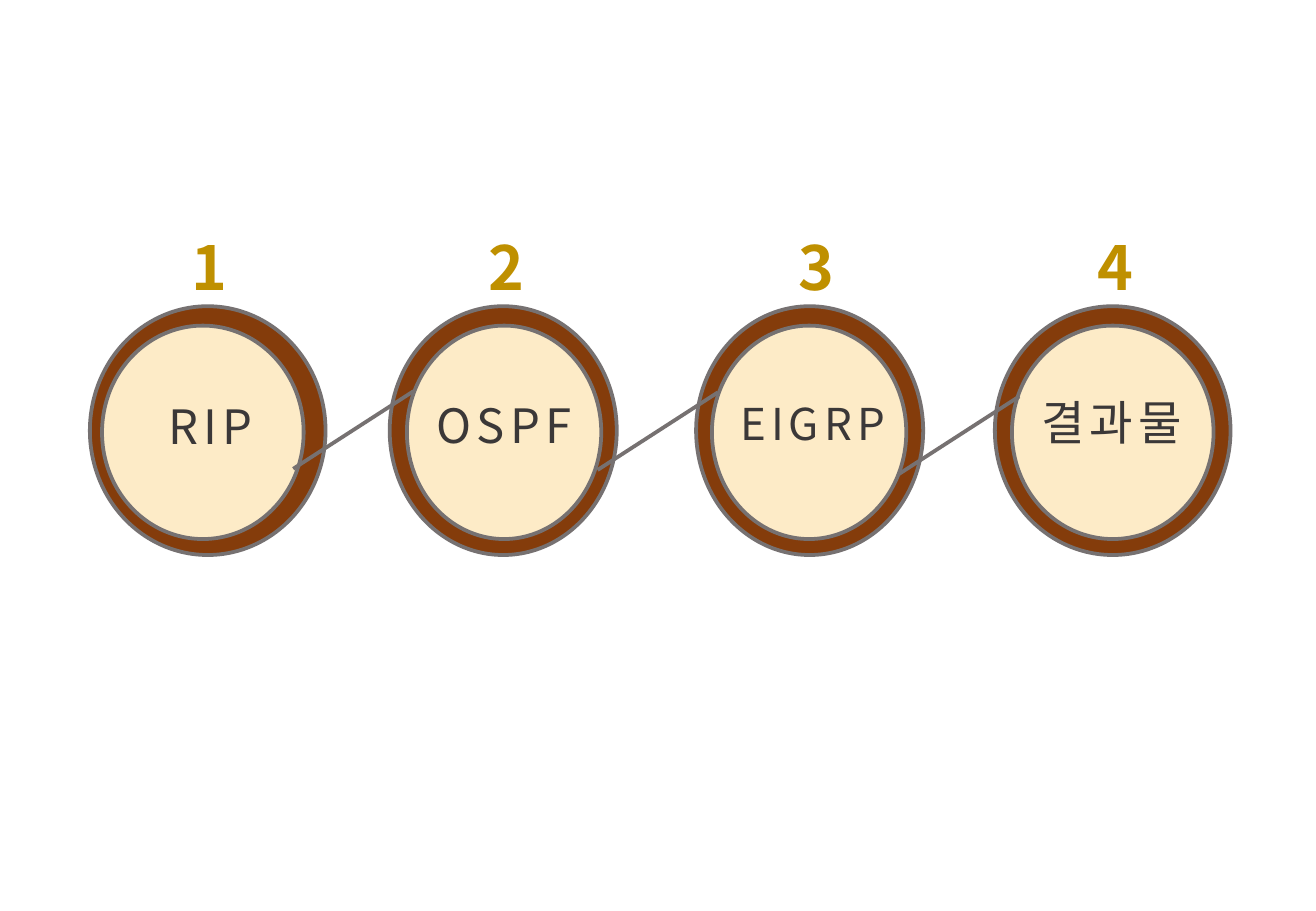
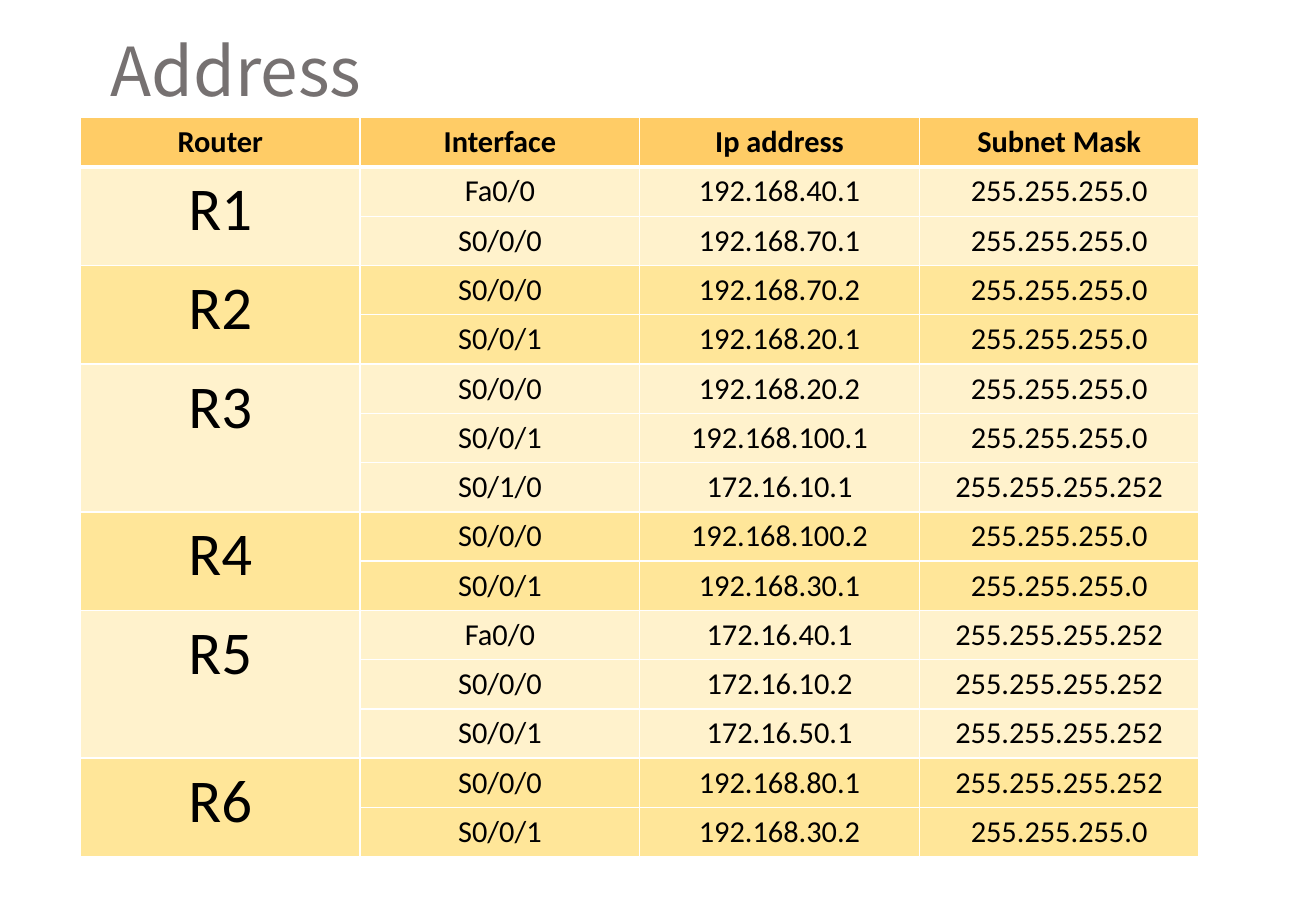
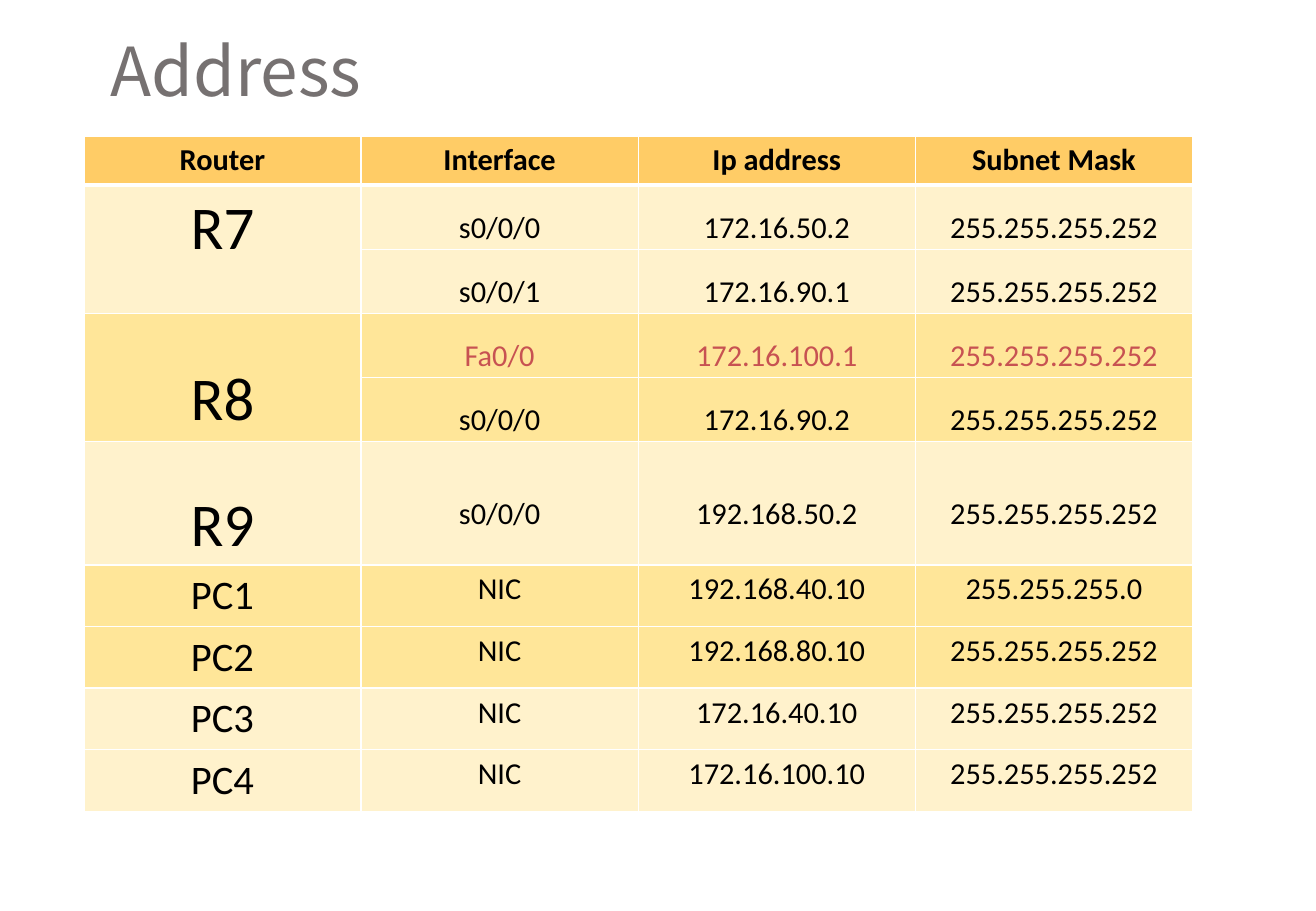
import pptx
import pptx.util
import pptx.dml.color
import pptx.enum.shapes
import pptx.enum.text
import pptx.oxml
import pptx.oxml.ns

Pt = pptx.util.Pt
RGB = pptx.dml.color.RGBColor.from_string
qn = pptx.oxml.ns.qn
PP_ALIGN = pptx.enum.text.PP_ALIGN
MIDDLE = pptx.enum.text.MSO_ANCHOR.MIDDLE
OVAL = pptx.enum.shapes.MSO_SHAPE.OVAL
STRAIGHT = pptx.enum.shapes.MSO_CONNECTOR.STRAIGHT

COLORS = {
    "ring": "843C0B", "disc": "FDEBC7", "grey": "767171", "label": "3B3838",
    "number": "BF9000", "head": "FFCC66", "light": "FFF2CC", "dark": "FFE699",
    "black": "000000", "red": "C75252", "white": "FFFFFF",
}
HEADING_FONT = "Noto Sans CJK KR"
TABLE_FONT = "Calibri"


def set_text(tf, text, size, color, font=HEADING_FONT, bold=False):
    """Write one centred paragraph and return it."""
    tf.text = text
    p = tf.paragraphs[0]
    p.alignment = PP_ALIGN.CENTER
    r = p.runs[0]
    r.font.size = Pt(size)
    r.font.bold = bold
    r.font.name = font
    r.font.color.rgb = RGB(COLORS[color])
    ea = r.font._element.makeelement(qn("a:ea"), {"typeface": font})
    r.font._element.find(qn("a:latin")).addnext(ea)
    return p


def add_label(s, text, left, top, width, height, size, color, bold=False):
    """Add a vertically centred text box and return its run."""
    tf = s.shapes.add_textbox(Pt(left), Pt(top), Pt(width), Pt(height)).text_frame
    tf.word_wrap = True
    tf.vertical_anchor = MIDDLE
    tf.margin_left = tf.margin_right = tf.margin_top = tf.margin_bottom = 0
    return set_text(tf, text, size, color, bold=bold).runs[0]


prs = pptx.Presentation()
prs.slide_width, prs.slide_height = Pt(780), Pt(540)

# Contents: four ringed topics joined by lines
s = prs.slides.add_slide(prs.slide_layouts[6])
RING_TOP, RING_HEIGHT = 181.5, 147.5
DISC_TOP, DISC_HEIGHT = 193, 126.5
# text, size, ring (left, width), disc (left, width), label (centre, top), number centre
topics = [
    ("RIP", 28, (53.3, 139.7), (60.5, 119.5), (125, 231.8), 124),
    ("OSPF", 28, (231, 134.6), (241.2, 115.2), (298.8, 231), 300),
    ("EIGRP", 26, (412.6, 134.6), (422, 115.2), (481.7, 230), 484),
    ("결과물", 28, (589.7, 139.7), (599.8, 119.5), (658.8, 229.7), 661),
]
for i, (text, size, ring, disc, (center, top), number_center) in enumerate(topics, 1):
    for (left, width), y, height, color in [
        (ring, RING_TOP, RING_HEIGHT, "ring"),
        (disc, DISC_TOP, DISC_HEIGHT, "disc"),
    ]:
        sp = s.shapes.add_shape(OVAL, Pt(left), Pt(y), Pt(width), Pt(height))
        sp.shadow.inherit = False
        sp.fill.solid()
        sp.fill.fore_color.rgb = RGB(COLORS[color])
        sp.line.color.rgb = RGB(COLORS["grey"])
        sp.line.width = Pt(2.25)
    r = add_label(s, text, center - 75, top, 150, 41, size, "label")
    r.font._element.set("spc", "300")
    add_label(s, str(i), number_center - 18, 132.5, 36, 51, 36, "number", bold=True)

for x, y in [(173.8, 277.9), (354.2, 278.6), (532.8, 281)]:
    line = s.shapes.add_connector(STRAIGHT, Pt(x), Pt(y), Pt(x + 71.3), Pt(y - 46))
    line.line.color.rgb = RGB(COLORS["grey"])
    line.line.width = Pt(2.25)
    line._element.spPr.append(pptx.oxml.parse_xml(
        '<a:effectLst xmlns:a="http://schemas.openxmlformats.org/drawingml/2006/main"/>'))

# Address tables: groups of (device, fill, [(interface, address, mask)])
HEADINGS = ("Router", "Interface", "Ip address", "Subnet Mask")
M24, M30 = "255.255.255.0", "255.255.255.252"
first_groups = [
    ("R1", "light", [("Fa0/0", "192.168.40.1", M24), ("S0/0/0", "192.168.70.1", M24)]),
    ("R2", "dark", [("S0/0/0", "192.168.70.2", M24), ("S0/0/1", "192.168.20.1", M24)]),
    ("R3", "light", [("S0/0/0", "192.168.20.2", M24), ("S0/0/1", "192.168.100.1", M24),
                     ("S0/1/0", "172.16.10.1", M30)]),
    ("R4", "dark", [("S0/0/0", "192.168.100.2", M24), ("S0/0/1", "192.168.30.1", M24)]),
    ("R5", "light", [("Fa0/0", "172.16.40.1", M30), ("S0/0/0", "172.16.10.2", M30),
                     ("S0/0/1", "172.16.50.1", M30)]),
    ("R6", "dark", [("S0/0/0", "192.168.80.1", M30), ("S0/0/1", "192.168.30.2", M24)]),
]
second_groups = [
    ("R7", "light", [("s0/0/0", "172.16.50.2", M30), ("s0/0/1", "172.16.90.1", M30)]),
    ("R8", "dark", [("Fa0/0", "172.16.100.1", M30), ("s0/0/0", "172.16.90.2", M30)]),
    ("R9", "light", [("s0/0/0", "192.168.50.2", M30)]),
    ("PC1", "dark", [("NIC", "192.168.40.10", M24)]),
    ("PC2", "dark", [("NIC", "192.168.80.10", M30)]),
    ("PC3", "light", [("NIC", "172.16.40.10", M30)]),
    ("PC4", "light", [("NIC", "172.16.100.10", M30)]),
]
SPACED_DEVICES = ("R7", "R8", "R9")
SPACED_NAMES = ("R8", "R9")
RED_ADDRESS = "172.16.100.1"

tables = [
    (first_groups, 47.7, 69.8, 165.75, [29.12] * 15),
    (second_groups, 49.7, 80.6, 164.3, [28.4] + [37.3] * 4 + [71.7] + [36.1] * 4),
]
for groups, left, top, col_width, heights in tables:
    s = prs.slides.add_slide(prs.slide_layouts[5])
    title = s.shapes.title
    title.left, title.top, title.width, title.height = Pt(0), Pt(13.7), Pt(280), Pt(55.4)
    tf = title.text_frame
    tf.auto_size = pptx.enum.text.MSO_AUTO_SIZE.NONE
    tf.vertical_anchor = MIDDLE
    tf.margin_top = tf.margin_bottom = 0
    set_text(tf, "Address", 40, "grey")

    table = s.shapes.add_table(len(heights), 4, Pt(left), Pt(top),
                               Pt(4 * col_width), Pt(sum(heights))).table
    table.horz_banding = False
    for col in table.columns:
        col.width = Pt(col_width)
    for row, height in zip(table.rows, heights):
        row.height = Pt(height)

    # one entry a cell: text, fill, size, colour, bold, spaced
    grid = [[(h, "head", 18, "black", True, False) for h in HEADINGS]]
    for device, fill, rows in groups:
        start = len(grid)
        size = 24 if device.startswith("PC") else 36
        for i, values in enumerate(rows):
            color = "red" if RED_ADDRESS in values else "black"
            name = (device if i == 0 else "", fill, size, "black", False,
                    device in SPACED_NAMES)
            grid.append([name] + [(v, fill, 18, color, False, device in SPACED_DEVICES)
                                  for v in values])
        if len(rows) > 1:
            table.cell(start, 0).merge(table.cell(len(grid) - 1, 0))

    for y, entries in enumerate(grid):
        for x, (text, fill, size, color, bold, spaced) in enumerate(entries):
            cell = table.cell(y, x)
            tcPr = cell._tc.get_or_add_tcPr()
            for side in ("L", "R", "T", "B"):
                under_head = (y, side) in ((0, "B"), (1, "T"))
                tcPr.append(pptx.oxml.parse_xml(
                    f'<a:ln{side} xmlns:a="http://schemas.openxmlformats.org/drawingml/2006/main"'
                    f' w="{Pt(3 if under_head else 1)}"><a:solidFill>'
                    f'<a:srgbClr val="{COLORS["white"]}"/></a:solidFill></a:ln{side}>'))
            cell.fill.solid()
            cell.fill.fore_color.rgb = RGB(COLORS[fill])
            if not text:
                continue
            p = set_text(cell.text_frame, text, size, color, TABLE_FONT, bold)
            if spaced:
                p.line_spacing = 1.6
                cell.vertical_anchor = MIDDLE
                cell.margin_left = cell.margin_right = Pt(5)
                cell.margin_top = cell.margin_bottom = Pt(1.4)

prs.save("out.pptx")
